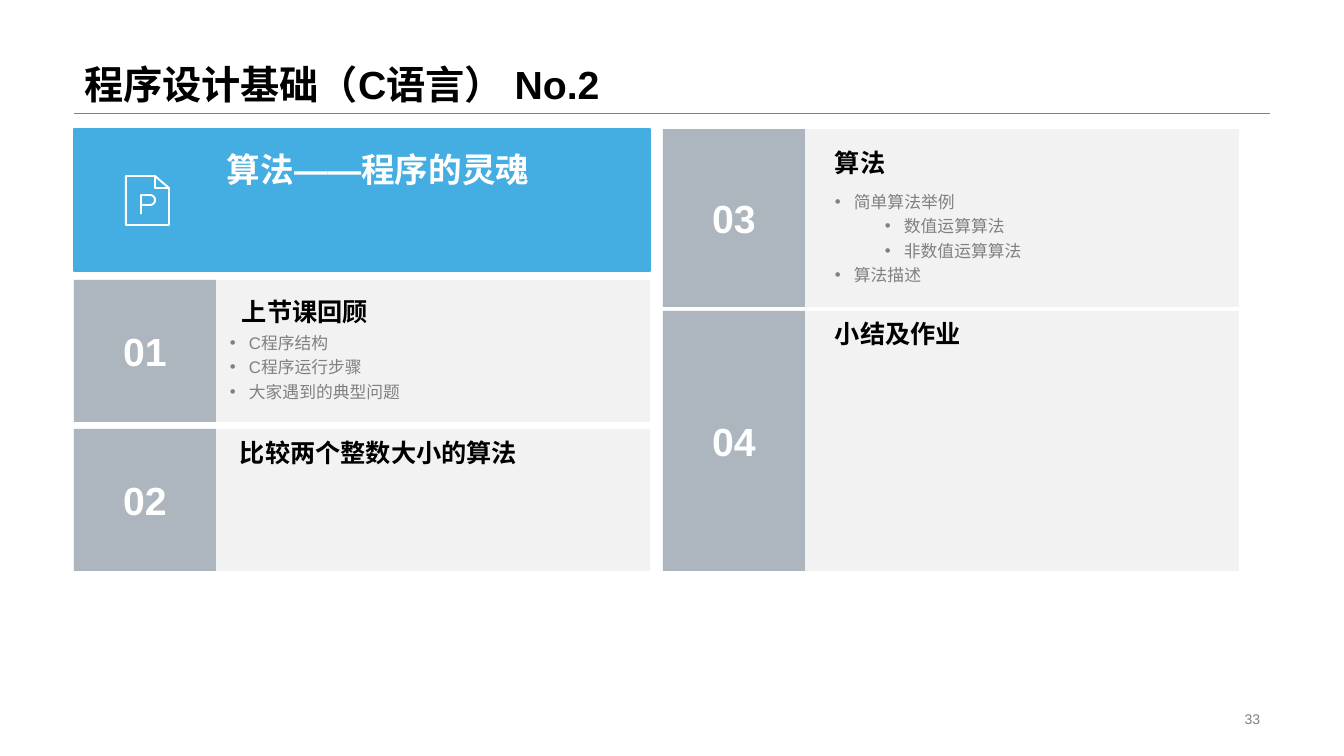
import math
import pptx
import pptx.util
import pptx.dml.color
import pptx.enum.shapes
import pptx.enum.text
from lxml import etree

# Content
TITLE = "程序设计基础（C语言） No.2"
BANNER = "算法——程序的灵魂"
PAGE_NUMBER = "33"
# number, heading, card (x, y, height), heading (x, y), bullets (x, y), [(level, text)]
CARDS = [
    ("01", "上节课回顾", (74, 280, 142), (232, 291), (220, 324),
     [(0, "C程序结构"), (0, "C程序运行步骤"), (0, "大家遇到的典型问题")]),
    ("02", "比较两个整数大小的算法", (74, 429, 142), (230, 432), None, []),
    ("04", "小结及作业", (663, 311, 260), (825, 313), None, []),
    ("03", "算法", (663, 129, 178), (825, 142), (825, 183),
     [(0, "简单算法举例"), (1, "数值运算算法"), (1, "非数值运算算法"), (0, "算法描述")]),
]
CARD_W, NUMBER_W = 576, 142
COLORS = {"black": "000000", "white": "FFFFFF", "gray": "808080",
          "card": "F2F2F2", "number": "ADB5BF", "banner": "44ADE1"}
FONT = "Arial"
EMU_PER_PX = 914400 / 100.8
RECT = pptx.enum.shapes.MSO_SHAPE.RECTANGLE
ANCHOR = pptx.enum.text.MSO_ANCHOR
ALIGN = pptx.enum.text.PP_ALIGN
A_NS = "http://schemas.openxmlformats.org/drawingml/2006/main"


def px(n):
    return pptx.util.Emu(round(n * EMU_PER_PX))


def rgb(name):
    return pptx.dml.color.RGBColor.from_string(COLORS[name])


def add_a(parent, tag, **attrs):
    return etree.SubElement(parent, f"{{{A_NS}}}{tag}", **attrs)


def add_run(p, text, size, color, bold=False):
    r = p.add_run()
    r.text = text
    r.font.size = pptx.util.Pt(size)
    r.font.bold = bold
    r.font.name = FONT
    r.font.color.rgb = rgb(color)
    rPr = r.font._element
    rPr.set("lang", "zh-CN")
    add_a(rPr, "ea", typeface=FONT)


def set_frame(tf, anchor):
    tf.word_wrap = True
    tf.auto_size = pptx.enum.text.MSO_AUTO_SIZE.NONE
    tf.vertical_anchor = anchor


def add_text(x, y, w, h, text, size, color, bold=False, anchor=ANCHOR.TOP,
             align=ALIGN.LEFT, spacing=1.0):
    tf = s.shapes.add_textbox(px(x), px(y), px(w), px(h)).text_frame
    set_frame(tf, anchor)
    p = tf.paragraphs[0]
    p.alignment = align
    p.line_spacing = spacing
    add_run(p, text, size, color, bold)


def add_bullets(x, y, items):
    tf = s.shapes.add_textbox(px(x), px(y), px(415), px(28 * len(items))).text_frame
    set_frame(tf, ANCHOR.TOP)
    for i, (level, text) in enumerate(items):
        p = tf.paragraphs[0] if i == 0 else tf.add_paragraph()
        p.level = level
        p.line_spacing = 1.2
        pPr = p._p.get_or_add_pPr()
        pPr.set("marL", str(px(19 + 50 * level)))
        pPr.set("indent", str(px(-19)))
        add_a(pPr, "buFont", typeface=FONT)
        add_a(pPr, "buChar", char="•")
        add_run(p, text, 12, "gray")


def add_block(x, y, w, h, color):
    sp = s.shapes.add_shape(RECT, px(x), px(y), px(w), px(h))
    sp.shadow.inherit = False
    sp.fill.solid()
    sp.fill.fore_color.rgb = rgb(color)
    sp.line.fill.background()
    return sp


def add_stroke(points, close=False):
    points = [(px(x), px(y)) for x, y in points]
    builder = s.shapes.build_freeform(*points[0])
    builder.add_line_segments(points[1:], close=close)
    sp = builder.convert_to_shape()
    sp.shadow.inherit = False
    sp.fill.background()
    sp.line.color.rgb = rgb("white")
    sp.line.width = pptx.util.Pt(1.4)


prs = pptx.Presentation()
prs.slide_width, prs.slide_height = px(1344), px(756)
s = prs.slides.add_slide(prs.slide_layouts[5])

# Title, rule and page number
title = s.shapes.title
title.left, title.top, title.width, title.height = px(74), px(0), px(1196), px(113)
set_frame(title.text_frame, ANCHOR.BOTTOM)
p = title.text_frame.paragraphs[0]
p.alignment = ALIGN.LEFT
p.line_spacing = 0.9
add_run(p, TITLE, 28, "black", True)

rule = s.shapes.add_connector(pptx.enum.shapes.MSO_CONNECTOR.STRAIGHT,
                              px(74), px(113), px(1270), px(113))
rule.line.color.rgb = rgb("gray")
rule.line.width = pptx.util.Pt(0.25)
add_a(rule._element.spPr, "effectLst")
add_text(950, 707, 320, 23, PAGE_NUMBER, 10, "gray",
         anchor=ANCHOR.MIDDLE, align=ALIGN.RIGHT)

# Numbered cards
for number, heading, (x, y, h), heading_at, bullets_at, bullets in CARDS:
    add_block(x, y, CARD_W, h, "card")
    tf = add_block(x, y, NUMBER_W, h, "number").text_frame
    set_frame(tf, ANCHOR.MIDDLE)
    p = tf.paragraphs[0]
    p.alignment = ALIGN.CENTER
    add_run(p, number, 28, "white", True)
    add_text(*heading_at, 394, 40, heading, 18, "black", True)
    if bullets:
        add_bullets(*bullets_at, bullets)

# Banner
banner = add_block(74, 129, CARD_W, 142, "banner")
banner.line.color.rgb = rgb("banner")
banner.line.width = pptx.util.Pt(2)
add_text(217, 140, 409, 54, BANNER, 24, "white", True,
         anchor=ANCHOR.BOTTOM, spacing=1.2)

# Document icon: page, folded corner, letter
add_stroke([(126, 176), (155, 176), (169, 188), (169, 225), (126, 225)], close=True)
add_stroke([(155, 176), (155, 188), (169, 188)])
bowl = [(150 + 5 * math.cos(math.radians(a)), 200 + 5 * math.sin(math.radians(a)))
        for a in range(-90, 91, 15)]
add_stroke([(141, 214), (141, 195), *bowl, (141, 205)])

prs.save("out.pptx")
